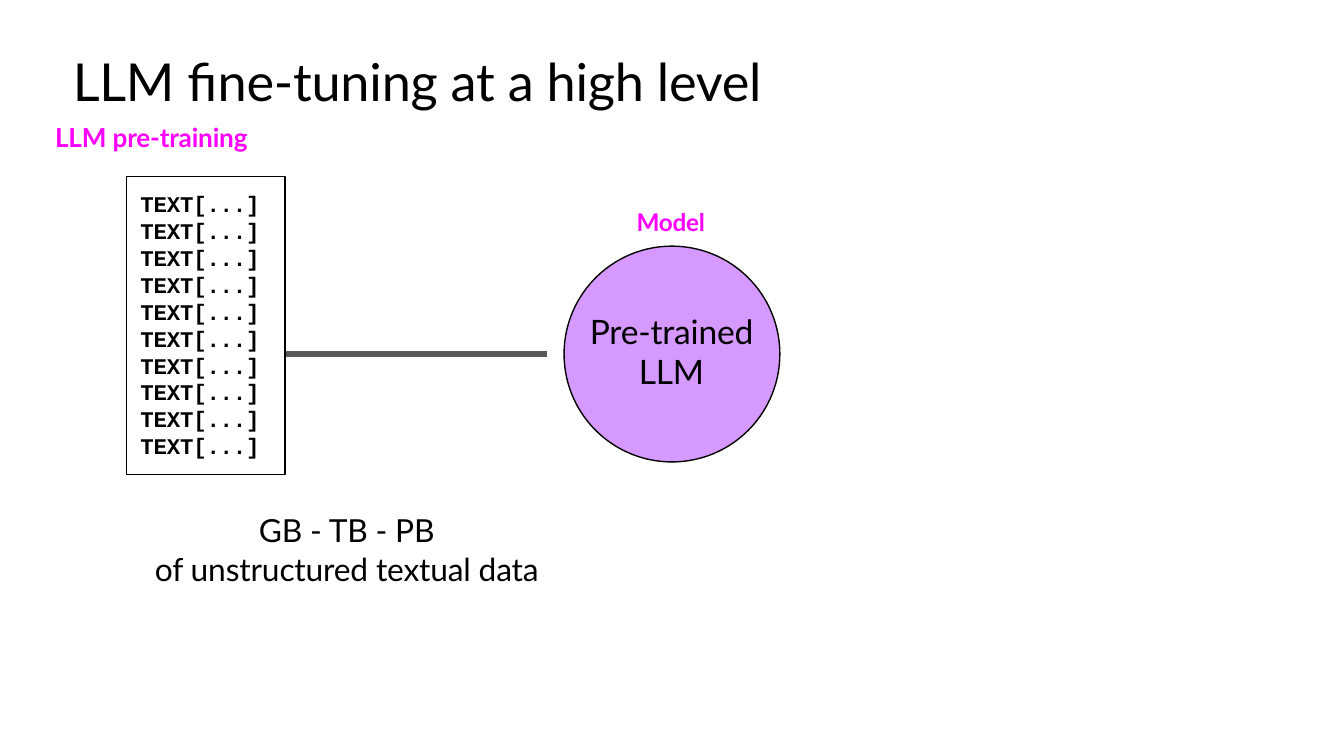
from lxml.etree import SubElement
from pptx import Presentation
from pptx.dml.color import RGBColor
from pptx.enum.shapes import MSO_CONNECTOR, MSO_SHAPE
from pptx.enum.text import PP_ALIGN
from pptx.oxml.ns import qn
from pptx.util import Pt

COLORS = {
    "ink": "000000",
    "label": "FF00FF",
    "model": "D699FF",
    "link": "595959",
}


def color(name):
    return RGBColor.from_string(COLORS[name])


def add_text(slide, frame, lines, size, ink="ink", font="Lato", bold=False,
             align=PP_ALIGN.LEFT, wrap=False, spacing=-0.1):
    """Place one paragraph per line in a box without margins; spacing is in points."""
    box = slide.shapes.add_textbox(*map(Pt, frame))
    text_frame = box.text_frame
    text_frame.margin_left = text_frame.margin_right = 0
    text_frame.margin_top = text_frame.margin_bottom = 0
    text_frame.word_wrap = wrap
    text_frame.text = "\n".join(lines)
    for para in text_frame.paragraphs:
        para.alignment = align
        for span in para.runs:
            span.font.name = font
            span.font.size = Pt(size)
            span.font.bold = bold
            span.font.color.rgb = color(ink)
            span.font._element.set("spc", str(round(spacing * 100)))


def add_outlined_shape(slide, kind, frame, fill=None):
    shape = slide.shapes.add_shape(kind, *map(Pt, frame))
    shape.shadow.inherit = False
    if fill:
        shape.fill.solid()
        shape.fill.fore_color.rgb = color(fill)
    else:
        shape.fill.background()
    shape.line.color.rgb = color("ink")
    shape.line.width = Pt(0.75)


def add_link(slide, left, right, y):
    link = slide.shapes.add_connector(
        MSO_CONNECTOR.STRAIGHT, Pt(left), Pt(y), Pt(right), Pt(y))
    link.line.color.rgb = color("link")
    link.line.width = Pt(3)
    SubElement(link._element.spPr, qn("a:effectLst"))


def main():
    deck = Presentation()
    deck.slide_width, deck.slide_height = Pt(720), Pt(405)
    slide = deck.slides.add_slide(deck.slide_layouts[6])

    add_text(slide, (39, 26.6, 483, 35), ["LLM fine-tuning at a high level"], 28)
    add_text(slide, (29.5, 64.8, 106, 17), ["LLM pre-training"], 14, "label", bold=True)

    add_link(slide, 152.6, 293, 189.5)
    add_outlined_shape(slide, MSO_SHAPE.OVAL, (302.2, 131.9, 115.6, 115.6), "model")
    add_text(slide, (314, 166.6, 91.5, 42.5), ["Pre-trained LLM"], 18,
             align=PP_ALIGN.CENTER, wrap=True)
    add_text(slide, (341, 110.9, 38, 16), ["Model"], 13, "label", bold=True)

    add_outlined_shape(slide, MSO_SHAPE.RECTANGLE, (67.7, 94.5, 85, 159.8))
    add_text(slide, (75.2, 102, 76.5, 146), ["TEXT[...]"] * 10, 12,
             font="Courier New", bold=True)
    add_text(slide, (81.4, 273.9, 208.8, 42),
             ["GB - TB - PB", "of unstructured textual data"], 17,
             align=PP_ALIGN.CENTER, wrap=True)

    deck.save("out.pptx")


if __name__ == "__main__":
    main()
